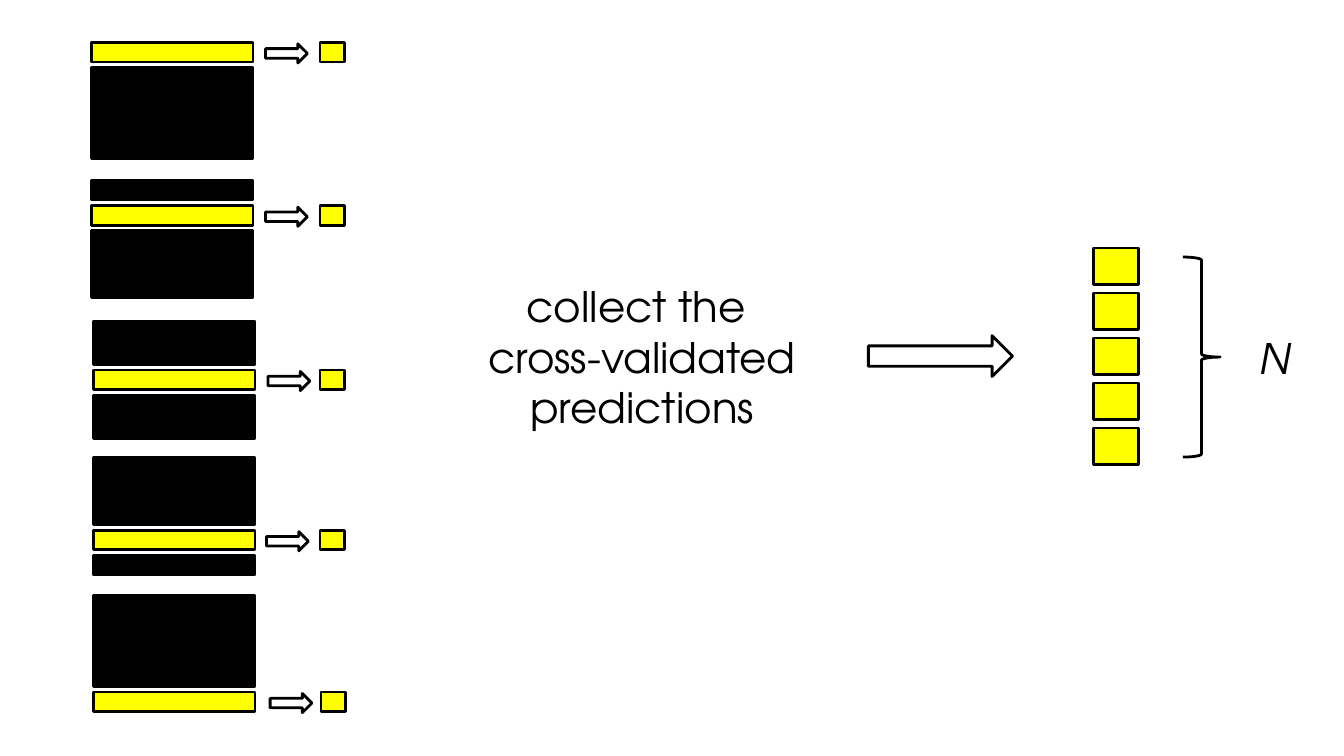
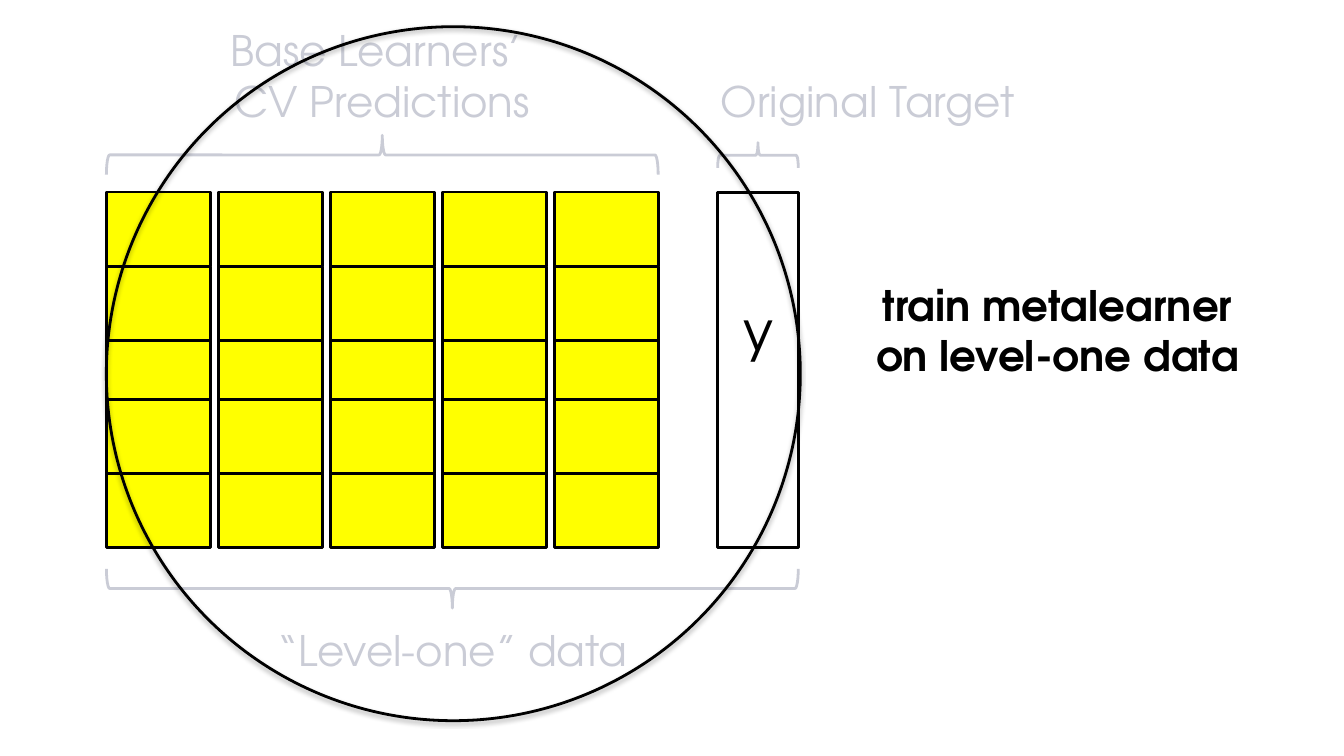
from dataclasses import dataclass

from lxml.etree import SubElement
from pptx import Presentation
from pptx.dml.color import RGBColor
from pptx.enum.shapes import MSO_SHAPE as Kind
from pptx.enum.text import MSO_ANCHOR, MSO_AUTO_SIZE, PP_ALIGN
from pptx.oxml.ns import qn
from pptx.util import Inches, Pt


@dataclass(frozen=True)
class Theme:
    ink: str = "000000"
    held: str = "FFFF00"
    faint: str = "CACCD6"
    font: str = "TeX Gyre Adventor"
    body: int = 60
    large: int = 80
    line: int = 4
    inset: float = 0.06


class Deck:
    """Draws on a grid of 80 columns by 45 rows."""

    cols, rows = 80, 45

    def __init__(self, theme):
        self.theme = theme
        self.show = Presentation()
        self.show.slide_width = Inches(26.67)
        self.show.slide_height = Inches(15)
        self.slide = None

    def page(self):
        self.slide = self.show.slides.add_slide(self.show.slide_layouts[6])

    def place(self, left, top, wide, high):
        col = self.show.slide_width / self.cols
        row = self.show.slide_height / self.rows
        return [round(n) for n in (left * col, top * row, wide * col, high * row)]

    def shape(self, kind, box, fill=None, line=None):
        item = self.slide.shapes.add_shape(kind, *self.place(*box))
        item.shadow.inherit = False
        if fill:
            item.fill.solid()
            item.fill.fore_color.rgb = RGBColor.from_string(fill)
        else:
            item.fill.background()
        item.line.color.rgb = RGBColor.from_string(line or self.theme.ink)
        item.line.width = Pt(self.theme.line)
        return item

    def rect(self, box, fill=None):
        return self.shape(Kind.RECTANGLE, box, fill)

    def arrow(self, box):
        return self.shape(Kind.RIGHT_ARROW, box)

    def brace(self, box, turn=0, line=None):
        """Fill the box with a brace that points right, turned by 0, 90 or -90."""
        left, top, wide, high = box
        if turn:
            shift = (wide - high) / 2
            box = (left + shift, top - shift, high, wide)
        item = self.shape(Kind.RIGHT_BRACE, box, line=line)
        item.adjustments[0] = 0.083
        item.rotation = turn

    def ring(self, box):
        """Draw an open circle with a soft shadow below."""
        item = self.shape(Kind.OVAL, box)
        glow = item.element.spPr.find(qn("a:effectLst"))
        drop = SubElement(glow, qn("a:outerShdw"), blurRad=str(Pt(6)),
                          dist=str(Pt(3)), dir="5400000", rotWithShape="0")
        tint = SubElement(drop, qn("a:srgbClr"), val=self.theme.ink)
        SubElement(tint, qn("a:alpha"), val="35000")

    def text(self, box, words, color=None, size=None, align=PP_ALIGN.CENTER,
             bold=False, italic=False):
        frame = self.slide.shapes.add_textbox(*self.place(*box)).text_frame
        frame.word_wrap = True
        frame.auto_size = MSO_AUTO_SIZE.SHAPE_TO_FIT_TEXT
        frame.vertical_anchor = MSO_ANCHOR.MIDDLE
        inset = Inches(self.theme.inset)
        frame.margin_left = frame.margin_right = inset
        frame.margin_top = frame.margin_bottom = inset
        frame.text = words
        for para in frame.paragraphs:
            para.alignment = align
            for run in para.runs:
                font = run.font
                font.name = self.theme.font
                font.size = Pt(size or self.theme.body)
                font.color.rgb = RGBColor.from_string(color or self.theme.ink)
                font.bold, font.italic = bold, italic


def collect(deck):
    look = deck.theme
    deck.page()

    # Five folds: the held-out band moves down one place each time
    count, wide, band, gap = 5, 9.6, 1.17, 0.33
    folds = [  # left, top of band, arrow left, cell left
        (5.46, 2.52, 15.81, 19.05),
        (5.46, 12.24, 15.81, 19.05),
        (5.58, 22.02, 15.96, 19.05),
        (5.58, 31.56, 15.87, 19.05),
        (5.58, 41.19, 16.08, 19.11),
    ]
    for above, (left, top, tail, cell) in enumerate(folds):
        below = count - 1 - above
        if above:
            high = 1.41 * above - 0.24
            deck.rect((left, top - gap - high, wide, high), look.ink)
        if below:
            high = 1.41 * below - 0.24
            deck.rect((left, top + band + gap, wide, high), look.ink)
        deck.rect((left, top, wide, band), look.held)
        deck.arrow((tail, top + 0.09, 2.49, 1.14))
        deck.rect((cell, top, 1.44, band), look.held)

    # Stack of predictions
    for row in range(count):
        deck.rect((65.1, 14.76 + 2.68 * row, 2.67, 2.19), look.held)
    deck.text((24.6, 16.5, 27.24, 9.42),
              "collect the \ncross-validated\npredictions")
    deck.arrow((51.69, 19.98, 8.58, 2.43))
    deck.brace((70.41, 15.3, 2.22, 11.91))
    deck.text((72.63, 19.59, 6.48, 3.36), "N", italic=True)


def train(deck):
    look = deck.theme
    left, goal = 6.33, 42.72
    deck.page()

    # Prediction columns, one for each base learner
    deck.text((left, 1.29, 32.85, 6.39), "Base Learners’ \nCV Predictions", look.faint)
    for col in range(5):
        for top in (11.43, 15.87, 20.28, 23.76, 28.17):
            deck.rect((left + 6.67 * col, top, 6.18, 4.41), look.held)
    deck.brace((left, 8.05, 32.85, 2.34), -90, look.faint)

    # Target column
    deck.rect((goal, 11.46, 4.8, 21.15))
    deck.text((43.41, 17.43, 3.48, 4.38), "y", size=look.large)
    deck.brace((goal, 8.49, 4.8, 1.5), -90, look.faint)
    deck.text((goal, 4.32, 25.26, 3.36), "Original Target", look.faint,
              align=PP_ALIGN.LEFT)

    # Level-one data and the circle around it
    deck.text((left, 36.99, 41.19, 3.36), "“Level-one” data", look.faint)
    deck.brace((left, 33.86, 41.19, 2.34), 90, look.faint)
    deck.ring((left, 1.59, 41.31, 41.31))
    deck.text((49.32, 16.44, 27.24, 6.39),
              "train metalearner\non level-one data", bold=True)


def main():
    deck = Deck(Theme())
    collect(deck)
    train(deck)
    deck.show.save("out.pptx")


if __name__ == "__main__":
    main()
